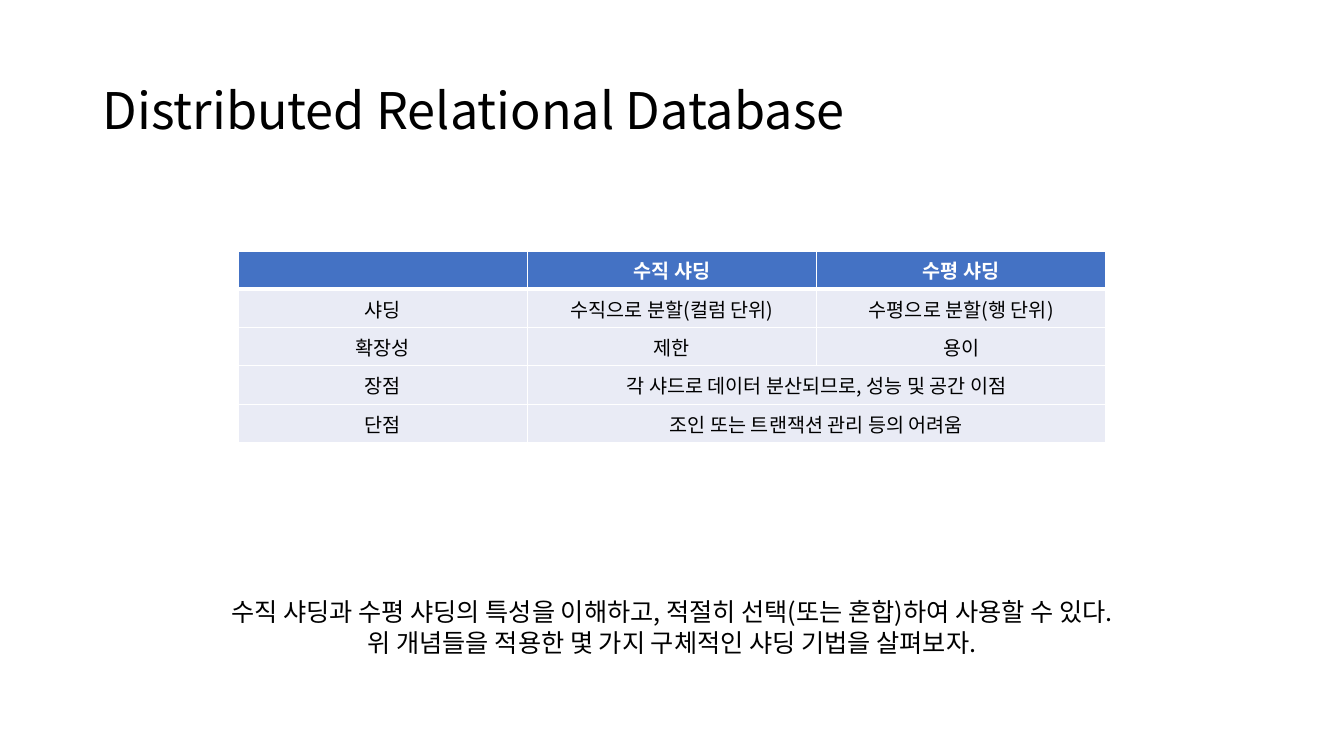
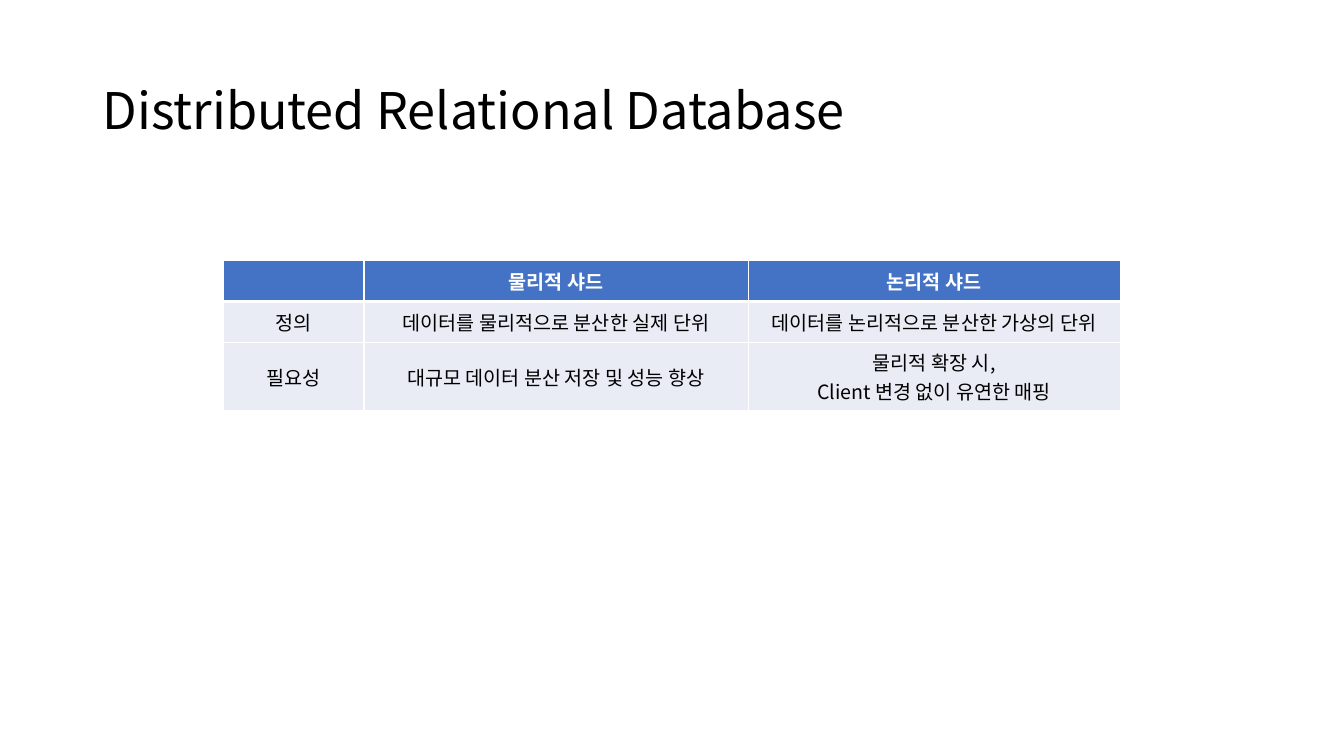
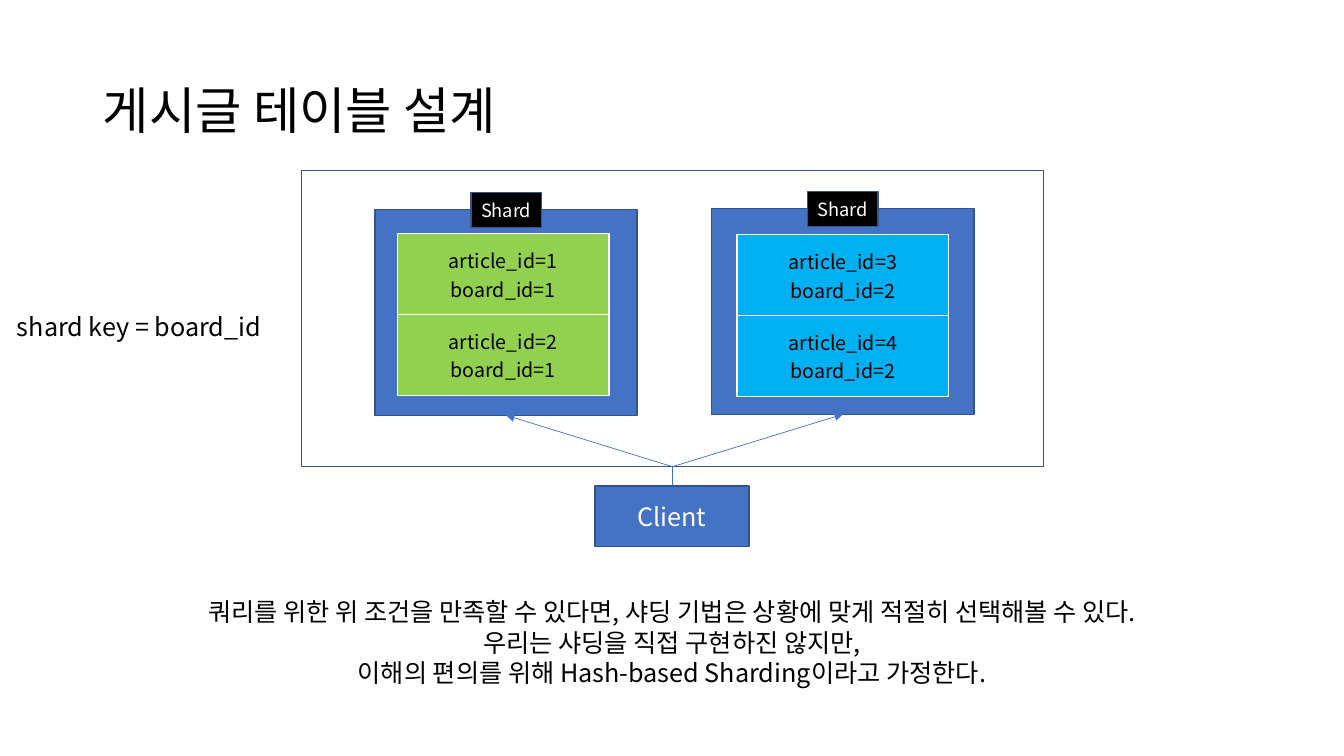
from lxml.etree import SubElement
from pptx import Presentation
from pptx.dml.color import RGBColor
from pptx.enum.shapes import MSO_CONNECTOR, MSO_SHAPE
from pptx.enum.text import MSO_ANCHOR, PP_ALIGN
from pptx.oxml.ns import qn
from pptx.util import Inches, Pt

FONT = "Noto Sans CJK KR"
COLORS = {
    "text": "000000",
    "white": "FFFFFF",
    "blue": "4472C4",
    "outline": "325491",
    "row": "E9EBF5",
    "green": "92D050",
    "cyan": "00B0F0",
}
SLIDE_W, SLIDE_H = 13.33, 7.5
SHARD_W, SHARD_H = 2.6, 2.04


def rgb(name):
    return RGBColor.from_string(COLORS[name])


def write(tf, text, size, color="text", align=PP_ALIGN.CENTER, bold=False):
    """Fill a text frame, one paragraph per line, in the shared font."""
    tf.text = text
    for p in tf.paragraphs:
        p.alignment = align
        for r in p.runs:
            r.font.size, r.font.bold, r.font.name = Pt(size), bold, FONT
            r.font.color.rgb = rgb(color)
            SubElement(r.font._element, qn("a:ea"), typeface=FONT)
        if not p.runs:
            SubElement(p._p, qn("a:endParaRPr"), sz=str(size * 100))


def add_text(slide, box, text, size, align=PP_ALIGN.CENTER, wrap=True):
    tf = slide.shapes.add_textbox(*map(Inches, box)).text_frame
    tf.word_wrap = wrap
    write(tf, text, size, align=align)
    return tf


def add_title(slide, text):
    tf = add_text(slide, (0.92, 0.4, 11.5, 1.45), text, 36, PP_ALIGN.LEFT)
    tf.vertical_anchor = MSO_ANCHOR.MIDDLE
    tf.paragraphs[0].line_spacing = 0.9


def add_summary(slide, text, height):
    add_text(slide, (0, 5.87, SLIDE_W, height), text, 18)


def add_box(slide, box, fill=None, text="", size=18):
    sp = slide.shapes.add_shape(MSO_SHAPE.RECTANGLE, *map(Inches, box))
    sp.shadow.inherit = False
    if fill:
        sp.fill.solid()
        sp.fill.fore_color.rgb = rgb(fill)
    else:
        sp.fill.background()
    sp.line.color.rgb = rgb("outline")
    sp.line.width = Pt(1)
    if text:
        tf = sp.text_frame
        tf.word_wrap = False
        tf.vertical_anchor = MSO_ANCHOR.MIDDLE
        write(tf, text, size, "white")


def add_line(slide, start, end, arrow=False):
    line = slide.shapes.add_connector(
        MSO_CONNECTOR.STRAIGHT, *map(Inches, start + end))
    line.line.color.rgb = rgb("blue")
    line.line.width = Pt(0.5)
    if arrow:
        SubElement(line.line._get_or_add_ln(), qn("a:tailEnd"), type="triangle")
    SubElement(line._element.spPr, qn("a:effectLst"))


def style_cell(cell, fill, borders):
    """Borders map an edge (L, R, T, B) to a white line's width in points."""
    cell.vertical_anchor = MSO_ANCHOR.MIDDLE
    tc_pr = cell._tc.get_or_add_tcPr()
    for edge, width in borders.items():
        ln = SubElement(tc_pr, qn(f"a:ln{edge}"), w=str(Pt(width)))
        solid = SubElement(ln, qn("a:solidFill"))
        SubElement(solid, qn("a:srgbClr"), val=COLORS["white"])
    cell.fill.solid()
    cell.fill.fore_color.rgb = rgb(fill)


def add_grid(slide, left, top, cols, heights, rows, fill="row", header=True):
    """Draw a table; a None cell extends the cell to its left."""
    frame = slide.shapes.add_table(
        len(rows), len(cols), Inches(left), Inches(top),
        Inches(sum(cols)), Inches(sum(heights)))
    table = frame.table
    table.first_row, table.horz_banding = header, False
    for column, width in zip(table.columns, cols):
        column.width = Inches(width)
    for i, (row, height) in enumerate(zip(rows, heights)):
        table.rows[i].height = Inches(height)
        is_head = header and i == 0
        borders = {"L": 1, "R": 1, "T": 1, "B": 3 if is_head else 1}
        if header and i == 1:
            borders["T"] = 3
        for j, text in enumerate(row):
            cell = table.cell(i, j)
            style_cell(cell, "blue" if is_head else fill, borders)
            if text is None:
                table.cell(i, j - 1).merge(cell)
            else:
                write(cell.text_frame, text, 14,
                      "white" if is_head else "text", bold=is_head)


def add_shard(slide, left, top, inset, fill, articles, board):
    """Draw a shard with its tag and articles; return its bottom centre."""
    add_box(slide, (left, top, SHARD_W, SHARD_H), "blue")
    add_box(slide, (left + 0.95, top - 0.17, 0.7, 0.35), "text", "Shard", 13)
    rows = [[f"article_id={n}\nboard_id={board}"] for n in articles]
    add_grid(slide, left + inset[0], top + inset[1], [2.1],
             [0.8] * len(rows), rows, fill, False)
    return left + SHARD_W / 2, top + SHARD_H


def sharding_slide(slide):
    add_title(slide, "Distributed Relational Database")
    add_grid(slide, 2.36, 2.49, [2.87] * 3, [0.38] * 5, [
        ["", "수직 샤딩", "수평 샤딩"],
        ["샤딩", "수직으로 분할(컬럼 단위)", "수평으로 분할(행 단위)"],
        ["확장성", "제한", "용이"],
        ["장점", "각 샤드로 데이터 분산되므로, 성능 및 공간 이점", None],
        ["단점", "조인 또는 트랜잭션 관리 등의 어려움", None],
    ])
    add_summary(slide, "수직 샤딩과 수평 샤딩의 특성을 이해하고, 적절히 선택(또는 혼합)하여 사용할 수 있다.\n"
                       "위 개념들을 적용한 몇 가지 구체적인 샤딩 기법을 살펴보자.", 0.71)


def shard_kinds_slide(slide):
    add_title(slide, "Distributed Relational Database")
    # The last row holds two lines
    add_grid(slide, 2.22, 2.58, [1.39, 3.81, 3.69], [0.41, 0.41, 0.67], [
        ["", "물리적 샤드", "논리적 샤드"],
        ["정의", "데이터를 물리적으로 분산한 실제 단위", "데이터를 논리적으로 분산한 가상의 단위"],
        ["필요성", "대규모 데이터 분산 저장 및 성능 향상",
         "물리적 확장 시,\nClient 변경 없이 유연한 매핑"],
    ])


def article_table_slide(slide):
    add_title(slide, "게시글 테이블 설계")
    add_summary(slide, "쿼리를 위한 위 조건을 만족할 수 있다면, 샤딩 기법은 상황에 맞게 적절히 선택해볼 수 있다.\n"
                       "우리는 샤딩을 직접 구현하진 않지만,\n"
                       "이해의 편의를 위해 Hash-based Sharding이라고 가정한다.", 1.01)
    add_text(slide, (0.07, 3.04, 2.64, 0.4), "shard key = board_id", 18,
             PP_ALIGN.LEFT, wrap=False)

    # Database frame with its two shards
    add_box(slide, (2.99, 1.69, 7.36, 2.94))
    shards = [
        add_shard(slide, 3.72, 2.08, (0.22, 0.24), "green", (1, 2), 1),
        add_shard(slide, 7.06, 2.07, (0.25, 0.26), "cyan", (3, 4), 2),
    ]

    # Client and its routes to the shards
    entry = (6.67, 4.63)
    for shard in shards:
        add_line(slide, entry, shard, arrow=True)
    add_line(slide, entry, (6.67, 4.82))
    add_box(slide, (5.9, 4.82, 1.53, 0.6), "blue", "Client")


def main():
    prs = Presentation()
    prs.slide_width, prs.slide_height = Inches(SLIDE_W), Inches(SLIDE_H)
    for build in (sharding_slide, shard_kinds_slide, article_table_slide):
        build(prs.slides.add_slide(prs.slide_layouts[6]))
    prs.save("out.pptx")


if __name__ == "__main__":
    main()
